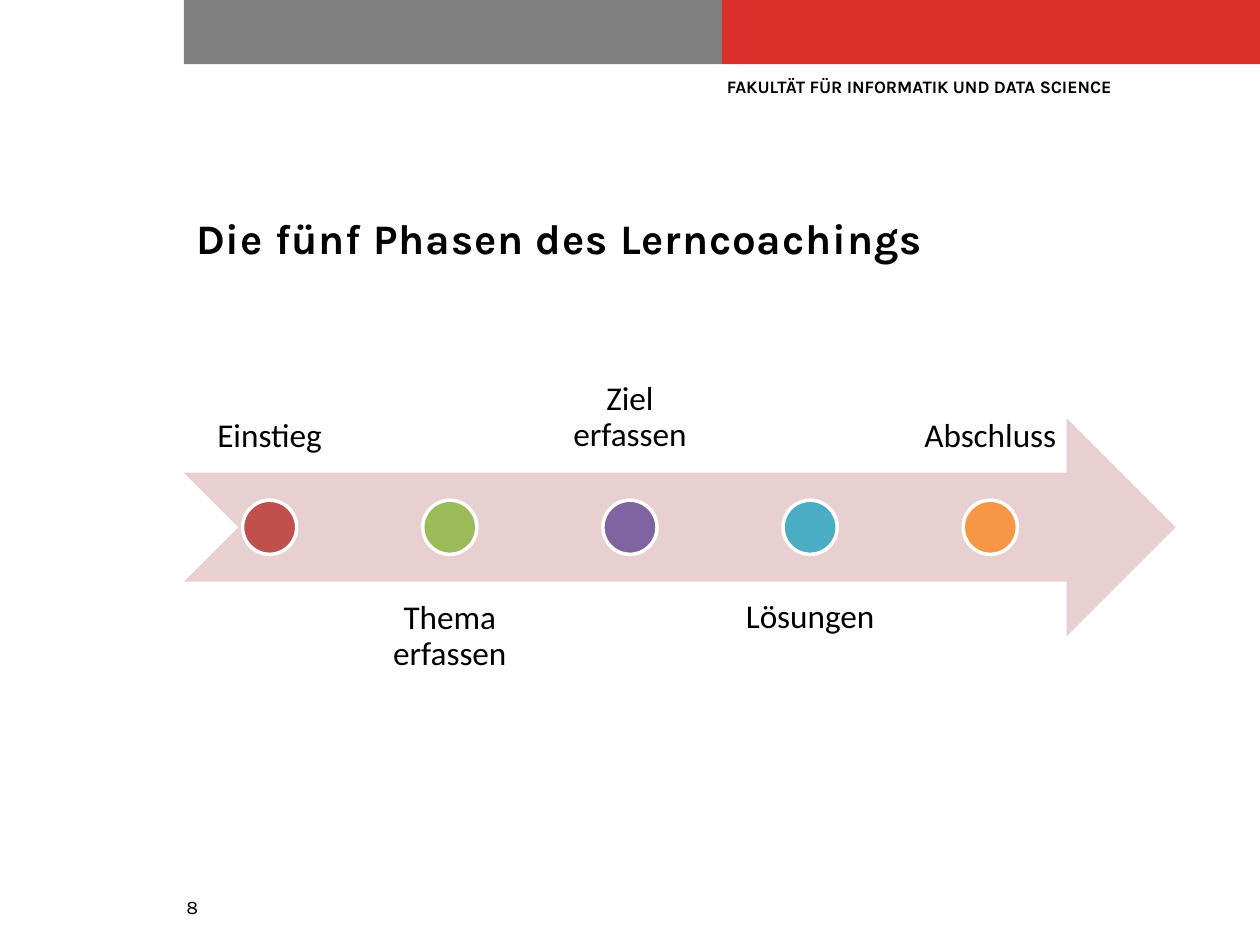
import pptx
import pptx.dml.color
import pptx.enum.shapes
import pptx.enum.text
import pptx.util

WIDTH, HEIGHT = 10, 7.5
LEFT = 1.46
BAR_WIDTH = (WIDTH - LEFT) / 2
ARROW_TOP, ARROW_WIDTH, ARROW_HEIGHT = 3.32, 7.87, 1.73
STEP, LABEL_WIDTH, DOT = 1.43, 1.36, 0.43
LABEL_TOPS = (2.02, 4.62)
PHASES = (
    ("Einstieg", "C0504D"),
    ("Thema erfassen", "9BBB59"),
    ("Ziel erfassen", "8064A2"),
    ("Lösungen", "4BACC6"),
    ("Abschluss", "F79646"),
)
SHAPE = pptx.enum.shapes.MSO_SHAPE
ANCHOR = pptx.enum.text.MSO_ANCHOR
ALIGN = pptx.enum.text.PP_ALIGN


def color(value):
    """Turn a hex string into a colour."""
    return pptx.dml.color.RGBColor.from_string(value)


def inches(*lengths):
    """Turn lengths in inches into slide units."""
    return [pptx.util.Inches(length) for length in lengths]


def add_figure(page, kind, place, fill, outline=None):
    """Draw a filled preset shape, with an outline if a colour is given."""
    shape = page.shapes.add_shape(kind, *inches(*place))
    shape.shadow.inherit = False
    shape.fill.solid()
    shape.fill.fore_color.rgb = color(fill)
    if outline:
        shape.line.color.rgb = color(outline)
        shape.line.width = pptx.util.Pt(2)
    else:
        shape.line.fill.background()


def add_text(page, text, place, size, font="Karla", bold=False, margins=(0.1, 0.05),
             anchor=ANCHOR.TOP, align=ALIGN.LEFT, line_spacing=1.0, tracking=0):
    """Write one paragraph in a text box with the given format."""
    box = page.shapes.add_textbox(*inches(*place))
    frame = box.text_frame
    frame.word_wrap = True
    frame.vertical_anchor = anchor
    side, edge = inches(*margins)
    frame.margin_left = frame.margin_right = side
    frame.margin_top = frame.margin_bottom = edge
    para = frame.paragraphs[0]
    para.alignment = align
    para.line_spacing = line_spacing
    span = para.add_run()
    span.text = text
    span.font.name = font
    span.font.size = pptx.util.Pt(size)
    span.font.bold = bold
    span.font.color.rgb = color("000000")
    if tracking:
        span._r.get_or_add_rPr().set("spc", str(tracking))


def add_frame(page):
    """Draw the header bars, the faculty name, the page number and the title."""
    for column, fill in enumerate(("808080", "DA2F2B")):
        place = (LEFT + column * BAR_WIDTH, 0, BAR_WIDTH, 0.51)
        add_figure(page, SHAPE.RECTANGLE, place, fill)
    add_text(page, "8", (1.38, 7.06, 8.35, 0.29), 11)
    add_text(page, "FAKULTÄT FÜR INFORMATIK UND DATA SCIENCE",
             (5.77, 0.6, 4.04, 0.94), 10, bold=True, margins=(0, 0))
    add_text(page, "Die fünf Phasen des Lerncoachings",
             (LEFT, 1.64, 7.86, 0.76), 24, bold=True, tracking=50)


def add_phase(page, column, name, fill):
    """Place a phase's label, alternately above and below, and its dot."""
    left = LEFT + column * STEP
    below = column % 2
    add_text(page, name, (left, LABEL_TOPS[below], LABEL_WIDTH, ARROW_HEIGHT), 19,
             font="Calibri", margins=(0.15, 0.15), align=ALIGN.CENTER,
             anchor=ANCHOR.TOP if below else ANCHOR.BOTTOM, line_spacing=0.9)
    dot_left = left + (LABEL_WIDTH - DOT) / 2
    dot_top = ARROW_TOP + (ARROW_HEIGHT - DOT) / 2
    add_figure(page, SHAPE.OVAL, (dot_left, dot_top, DOT, DOT), fill, "FFFFFF")


def main():
    """Build the slide and save it."""
    deck = pptx.Presentation()
    deck.slide_width, deck.slide_height = inches(WIDTH, HEIGHT)
    page = deck.slides.add_slide(deck.slide_layouts[6])
    add_frame(page)
    add_figure(page, SHAPE.NOTCHED_RIGHT_ARROW,
               (LEFT, ARROW_TOP, ARROW_WIDTH, ARROW_HEIGHT), "E8D0D0")
    for column, (name, fill) in enumerate(PHASES):
        add_phase(page, column, name, fill)
    deck.save("out.pptx")


if __name__ == "__main__":
    main()
